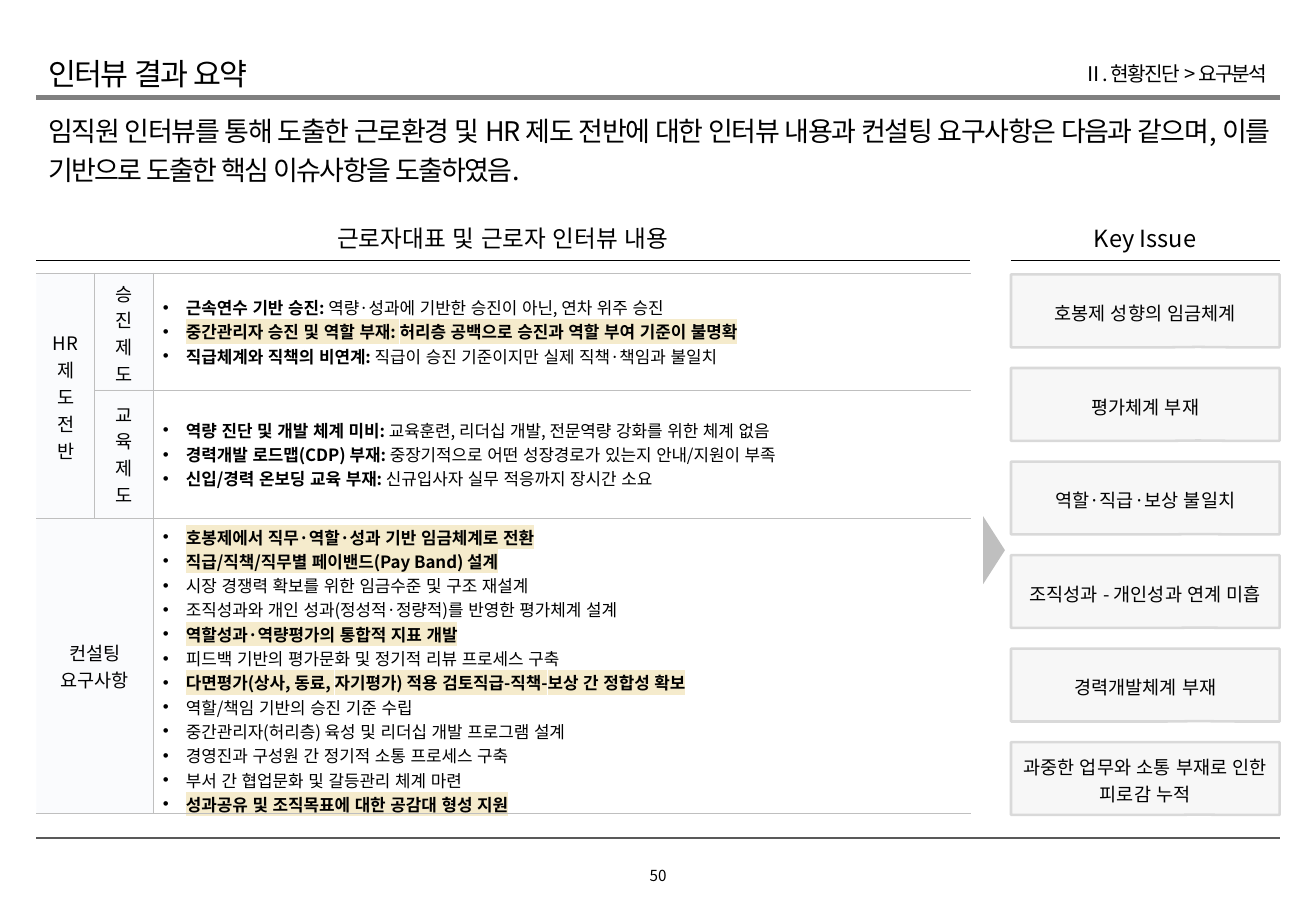
from lxml.etree import SubElement
from pptx import Presentation
from pptx.dml.color import RGBColor
from pptx.enum.lang import MSO_LANGUAGE_ID
from pptx.enum.shapes import MSO_CONNECTOR, MSO_SHAPE
from pptx.enum.text import MSO_ANCHOR, PP_ALIGN
from pptx.oxml.ns import qn
from pptx.util import Emu, Pt

PX = 9144  # 100 px to the inch
FONT = "Noto Sans CJK KR"
BLACK, GREY, PALE_GREY = "000000", "BFBFBF", "D9D9D9"
PALE_BLUE, MARK = "E6EEF9", "F5EBCC"
NO_STYLE = "{2D5ABB26-0587-4C30-8999-92F81FD0307C}"


def marked(text):
    return [(text, True, MARK)]


def plain(text):
    return [(text, False, None)]


def led(head, rest):
    return [(head, True, None), (rest, False, None)]


PROMOTION = [
    led("근속연수 기반 승진:", " 역량·성과에 기반한 승진이 아닌, 연차 위주 승진"),
    marked("중간관리자 승진 및 역할 부재: 허리층 공백으로 승진과 역할 부여 기준이 불명확"),
    led("직급체계와 직책의 비연계:", " 직급이 승진 기준이지만 실제 직책·책임과 불일치"),
]
TRAINING = [
    led("역량 진단 및 개발 체계 미비:", " 교육훈련, 리더십 개발, 전문역량 강화를 위한 체계 없음"),
    led("경력개발 로드맵(CDP) 부재:", " 중장기적으로 어떤 성장경로가 있는지 안내/지원이 부족"),
    led("신입/경력 온보딩 교육 부재:", " 신규입사자 실무 적응까지 장시간 소요"),
]
REQUESTS = [
    marked("호봉제에서 직무·역할·성과 기반 임금체계로 전환"),
    marked("직급/직책/직무별 페이밴드(Pay Band) 설계"),
    plain("시장 경쟁력 확보를 위한 임금수준 및 구조 재설계"),
    plain("조직성과와 개인 성과(정성적·정량적)를 반영한 평가체계 설계"),
    marked("역할성과·역량평가의 통합적 지표 개발"),
    plain("피드백 기반의 평가문화 및 정기적 리뷰 프로세스 구축"),
    marked("다면평가(상사, 동료, 자기평가) 적용 검토직급-직책-보상 간 정합성 확보"),
    plain("역할/책임 기반의 승진 기준 수립"),
    plain("중간관리자(허리층) 육성 및 리더십 개발 프로그램 설계"),
    plain("경영진과 구성원 간 정기적 소통 프로세스 구축"),
    plain("부서 간 협업문화 및 갈등관리 체계 마련"),
    marked("성과공유 및 조직목표에 대한 공감대 형성 지원"),
]
ISSUES = ["호봉제 성향의 임금체계", "평가체계 부재", "역할·직급·보상 불일치",
          "조직성과 - 개인성과 연계 미흡", "경력개발체계 부재",
          "과중한 업무와 소통 부재로 인한 피로감 누적"]


def px(*values):
    return [Emu(v * PX) for v in values]


def color(value):
    return RGBColor.from_string(value)


def set_attrs(target, values):
    for name, value in values.items():
        setattr(target, name, value)


def set_fill(fill, props, value, opacity=None):
    fill.solid()
    fill.fore_color.rgb = color(value)
    if opacity:
        rgb = props.find(qn("a:solidFill")).find(qn("a:srgbClr"))
        SubElement(rgb, qn("a:alpha"), val=str(opacity * 1000))


def add_run(p, text, size, bold=False, mark=None, spacing=None):
    r = p.add_run()
    r.text = text
    set_attrs(r.font, {"size": Pt(size), "bold": bold,
                       "language_id": MSO_LANGUAGE_ID.KOREAN})
    r.font.color.rgb = color(BLACK)
    props = r.font._element
    if mark:
        SubElement(SubElement(props, qn("a:highlight")), qn("a:srgbClr"), val=mark)
    r.font.name = FONT
    SubElement(props, qn("a:ea"), typeface=FONT)
    if spacing:
        props.set("spc", str(spacing))


def fill_frame(tf, lines, size, align, bullet=False, line_spacing=None, spacing=None):
    """Write each line, a list of (text, bold, mark) runs, as one paragraph."""
    for i, line in enumerate(lines):
        p = tf.add_paragraph() if i else tf.paragraphs[0]
        set_attrs(p, {"alignment": align, "line_spacing": line_spacing})
        if bullet:
            props = p._p.get_or_add_pPr()
            props.set("marL", str(19 * PX))
            props.set("indent", str(-19 * PX))
            SubElement(props, qn("a:buFont"), typeface="Arial")
            SubElement(props, qn("a:buChar"), char="•")
        for text, bold, mark in line:
            add_run(p, text, size, bold, mark, spacing)


def set_frame(target, insets, anchor):
    left, top, right, bottom = px(*insets)
    set_attrs(target, {"margin_left": left, "margin_top": top, "margin_right": right,
                       "margin_bottom": bottom, "vertical_anchor": anchor})


def add_text(s, box, text, size, align=PP_ALIGN.LEFT, anchor=MSO_ANCHOR.MIDDLE,
             insets=(10, 5, 10, 5), wrap=True, **style):
    tf = s.shapes.add_textbox(*px(*box)).text_frame
    tf.word_wrap = wrap
    set_frame(tf, insets, anchor)
    fill_frame(tf, [plain(text)], size, align, **style)


def add_rule(s, left, right, y, value, width):
    line = s.shapes.add_connector(MSO_CONNECTOR.STRAIGHT, *px(left, y, right, y))
    line.line.color.rgb = color(value)
    line.line.width = Pt(width)
    SubElement(line._element.spPr, qn("a:effectLst"))


def add_header(s, left, top, width):
    add_text(s, (left, top, 600, 35), "인터뷰 결과 요약", 18, spacing=-100)
    add_text(s, (left + width - 418, top, 418, 35), "Ⅱ. 현황진단 > 요구분석", 12,
             PP_ALIGN.RIGHT, spacing=-100)
    add_rule(s, left, left + width, top + 37, "808080", 3)
    add_text(s, (left, top + 41, width + 1, 72),
             "임직원 인터뷰를 통해 도출한 근로환경 및 HR 제도 전반에 대한 인터뷰 내용과 "
             "컨설팅 요구사항은 다음과 같으며, 이를 기반으로 도출한 핵심 이슈사항을 도출하였음.",
             16, PP_ALIGN.JUSTIFY, MSO_ANCHOR.TOP, line_spacing=1.2, spacing=-100)


def add_footer(s, left, top, width):
    add_rule(s, left, left + width, top, "595959", 1.5)
    add_text(s, (left + 479, top + 15, 65, 33), "50", 9, PP_ALIGN.CENTER,
             wrap=False, line_spacing=0.9)


def add_section_title(s, left, top, width, text):
    add_text(s, (left, top, width, 29), text, 14, PP_ALIGN.CENTER, MSO_ANCHOR.BOTTOM,
             (0, 0, 0, 8), line_spacing=0.9)
    add_rule(s, left, left + width, top + 27, BLACK, 0.25)


def set_borders(cell, sides):
    props = cell._tc.get_or_add_tcPr()
    for side in "LRTB":
        line = SubElement(props, qn(f"a:ln{side}"), w=str(Pt(0.5)))
        if side in sides:
            fill = SubElement(line, qn("a:solidFill"))
            SubElement(fill, qn("a:srgbClr"), val=GREY)
        else:
            SubElement(line, qn("a:noFill"))


def add_interview_table(s, left, top):
    widths, heights = (48, 48, 673), (96, 106, 243)
    frame = s.shapes.add_table(3, 3, *px(left, top, sum(widths), sum(heights)))
    table = frame.table
    set_attrs(table, {"first_row": False, "horz_banding": False})
    table._tbl.tblPr.find(qn("a:tableStyleId")).text = NO_STYLE
    for col, width in zip(table.columns, widths):
        col.width = Emu(width * PX)
    for row, height in zip(table.rows, heights):
        row.height = Emu(height * PX)
    table.cell(0, 0).merge(table.cell(1, 0))
    table.cell(2, 0).merge(table.cell(2, 1))
    for row in range(3):
        for col, sides in enumerate(("RTB", "LRTB", "LTB")):
            cell = table.cell(row, col)
            set_borders(cell, sides)
            if col < 2:
                set_fill(cell.fill, cell._tc.tcPr, PALE_BLUE, 20)
            else:
                cell.fill.background()
            inset = 10 if col < 2 else 8
            set_frame(cell, (inset, 5, inset, 5), MSO_ANCHOR.MIDDLE)
    labels = {(0, 0): ["HR 제도", "전반"], (0, 1): ["승진제도"],
              (1, 1): ["교육제도"], (2, 0): ["컨설팅 요구사항"]}
    for (row, col), lines in labels.items():
        fill_frame(table.cell(row, col).text_frame, [plain(t) for t in lines],
                   11, PP_ALIGN.CENTER)
    for row, bullets in enumerate((PROMOTION, TRAINING, REQUESTS)):
        fill_frame(table.cell(row, 2).text_frame, bullets, 10, PP_ALIGN.LEFT, bullet=True)


def add_arrow(s, left, top, width, height):
    arrow = s.shapes.add_shape(MSO_SHAPE.ISOSCELES_TRIANGLE, *px(left, top, width, height))
    arrow.rotation = 90
    arrow.shadow.inherit = False
    set_fill(arrow.fill, arrow._element.spPr, GREY)
    arrow.line.fill.background()


def add_issues(s, left, top, width):
    for i, issue in enumerate(ISSUES):
        card = s.shapes.add_shape(MSO_SHAPE.RECTANGULAR_CALLOUT,
                                  *px(left, top + 77 * i, width, 60))
        card.adjustments[0], card.adjustments[1] = 0.196, 0.495
        card.shadow.inherit = False
        set_fill(card.fill, card._element.spPr, PALE_GREY, 20)
        card.line.color.rgb = color(PALE_GREY)
        card.line.width = Pt(1.5)
        card.text_frame.word_wrap = True
        set_frame(card.text_frame, (5, 5, 5, 5), MSO_ANCHOR.MIDDLE)
        fill_frame(card.text_frame, [plain(issue)], 11, PP_ALIGN.CENTER, line_spacing=1.2)


def main():
    prs = Presentation()
    prs.slide_width, prs.slide_height = px(1083, 750)
    s = prs.slides.add_slide(prs.slide_layouts[6])
    add_header(s, 30, 43, 1023)
    add_section_title(s, 30, 187, 768, "근로자대표 및 근로자 인터뷰 내용")
    add_section_title(s, 832, 187, 221, "Key Issue")
    add_interview_table(s, 30, 225)
    add_arrow(s, 790, 444, 56, 18)
    add_issues(s, 832, 226, 221)
    add_footer(s, 30, 690, 1023)
    prs.save("out.pptx")


if __name__ == "__main__":
    main()
